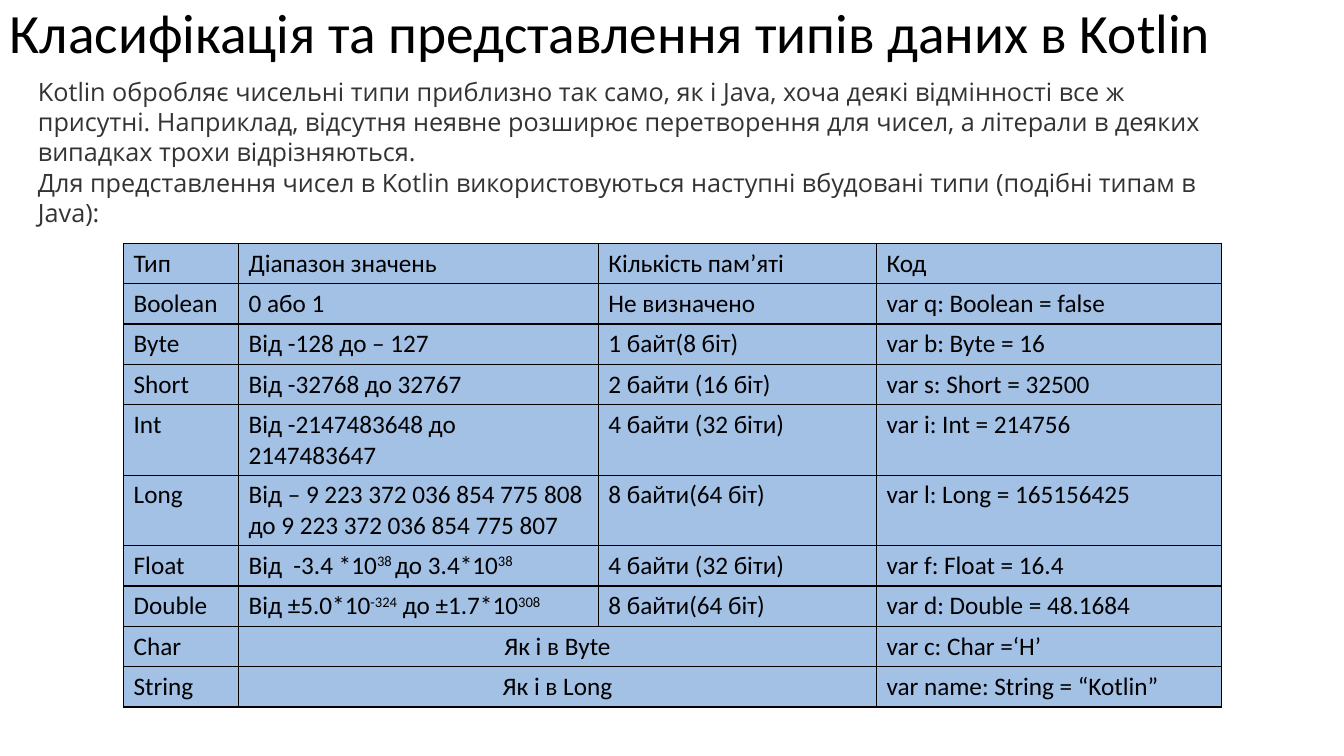
from lxml.etree import SubElement
from pptx import Presentation
from pptx.dml.color import RGBColor
from pptx.enum.text import MSO_ANCHOR as Anchor, PP_ALIGN as Align
from pptx.oxml.ns import qn
from pptx.util import Pt

BLACK, GREY, BLUE = "000000", "333333", "A3C0E5"
TITLE = "Класифікація та представлення типів даних в Kotlin"
INTRO = (
    "Kotlin обробляє чисельні типи приблизно так само, як і Java, хоча деякі "
    "відмінності все ж присутні.\u00a0Наприклад, відсутня неявне розширює "
    "перетворення для чисел, а літерали в деяких випадках трохи відрізняються. \n"
    "Для представлення чисел в Kotlin використовуються наступні вбудовані типи "
    "(подібні типам в Java):"
)
WIDTHS = [82.1, 257, 198.7, 246.2]
LOW, HIGH = 28.8, 50.4
LONG = ("Int", "Long")
# A caret switches superscript on and off; None joins a cell to its left one.
TYPES = [
    ("Тип", "Діапазон значень", "Кількість пам’яті", "Код"),
    ("Boolean", "0 або 1", "Не визначено", "var q: Boolean = false"),
    ("Byte", "Від -128 до – 127", "1 байт(8 біт)", "var b: Byte = 16"),
    ("Short", "Від -32768 до 32767", "2 байти (16 біт)", "var s: Short = 32500"),
    ("Int", "Від -2147483648 до 2147483647", "4 байти (32 біти)",
     "var i: Int = 214756"),
    ("Long", "Від – 9 223 372 036 854 775 808 до 9 223 372 036 854 775 807",
     "8 байти(64 біт)", "var l: Long = 165156425"),
    ("Float", "Від  -3.4 *10^38 ^до 3.4*10^38", "4 байти (32 біти)",
     "var f: Float = 16.4"),
    ("Double", "Від\u00a0±5.0*10^-324^\u00a0до\u00a0±1.7*10^308",
     "8 байти(64 біт)", "var d: Double = 48.1684"),
    ("Char", "Як і в Byte", None, "var c: Char =‘H’"),
    ("String", "Як і в Long", None, "var name: String = “Kotlin”"),
]


def paint(target, color):
    """Set a font colour or a solid fill colour from a hex string."""
    target.rgb = RGBColor.from_string(color)


def style(frame, size, face, color):
    """Format every run of a text frame."""
    for para in frame.paragraphs:
        for run in para.runs:
            run.font.size = Pt(size)
            run.font.name = face
            paint(run.font.color, color)


def add_text(slide, box, text, size, face, color, anchor=Anchor.TOP):
    """Add a wrapped text box and return its frame."""
    frame = slide.shapes.add_textbox(*map(Pt, box)).text_frame
    frame.word_wrap = True
    frame.vertical_anchor = anchor
    frame.text = text
    style(frame, size, face, color)
    return frame


def add_edges(cell):
    """Draw a thin black line on all four sides of a cell."""
    props = cell._tc.get_or_add_tcPr()
    for side in "LRTB":
        line = SubElement(props, qn(f"a:ln{side}"), w=str(Pt(1)))
        fill = SubElement(line, qn("a:solidFill"))
        SubElement(fill, qn("a:srgbClr"), val=BLACK)


def fill_cell(cell, text):
    """Write a cell, raising the parts between carets."""
    add_edges(cell)
    cell.fill.solid()
    paint(cell.fill.fore_color, BLUE)
    cell.margin_top = cell.margin_bottom = Pt(3.4)
    para = cell.text_frame.paragraphs[0]
    for i, part in enumerate(text.split("^")):
        run = para.add_run()
        run.text = part
        if i % 2:
            run._r.get_or_add_rPr().set("baseline", "30000")
    style(cell.text_frame, 18, "Calibri", BLACK)


def add_types(slide, left, top):
    """Add the table of data types."""
    highs = [HIGH if row[0] in LONG else LOW for row in TYPES]
    box = left, top, sum(WIDTHS), sum(highs)
    table = slide.shapes.add_table(len(TYPES), len(WIDTHS), *map(Pt, box)).table
    table.first_row = table.horz_banding = False
    for col, width in zip(table.columns, WIDTHS):
        col.width = Pt(width)
    for r, row in enumerate(TYPES):
        table.rows[r].height = Pt(highs[r])
        for c, text in enumerate(row):
            cell = table.cell(r, c)
            fill_cell(cell, text or "")
            if text is None:
                first = table.cell(r, c - 1)
                first.merge(cell)
                first.text_frame.paragraphs[0].alignment = Align.CENTER


def main():
    """Build the slide and save it."""
    deck = Presentation()
    deck.slide_width, deck.slide_height = Pt(960), Pt(540)
    slide = deck.slides.add_slide(deck.slide_layouts[6])
    title = add_text(slide, (0, 0, 960, 51), TITLE, 39.6, "Calibri", BLACK,
                     Anchor.MIDDLE)
    title.paragraphs[0].line_spacing = 0.9
    add_text(slide, (20, 51, 870.5, 94.5), INTRO, 18, "Open Sans", GREY)
    add_types(slide, 88.3, 173.8)
    deck.save("out.pptx")


main()
